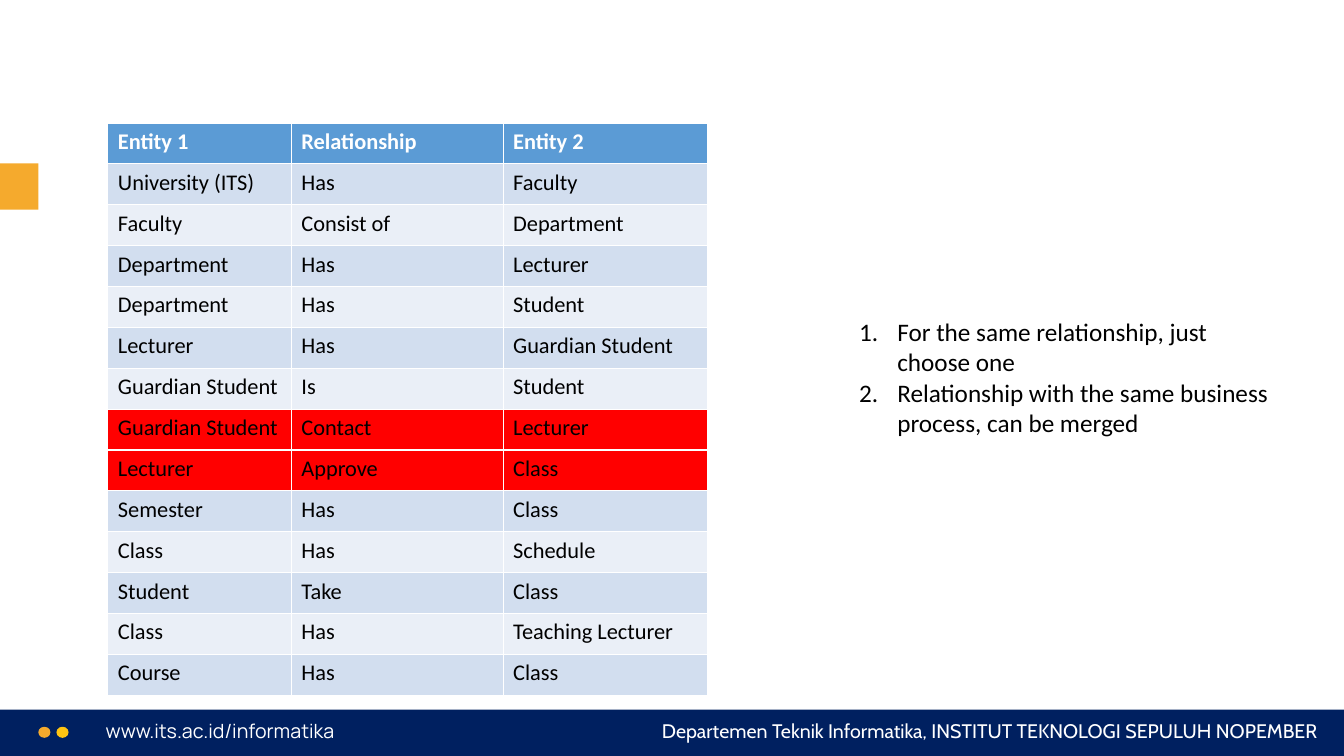
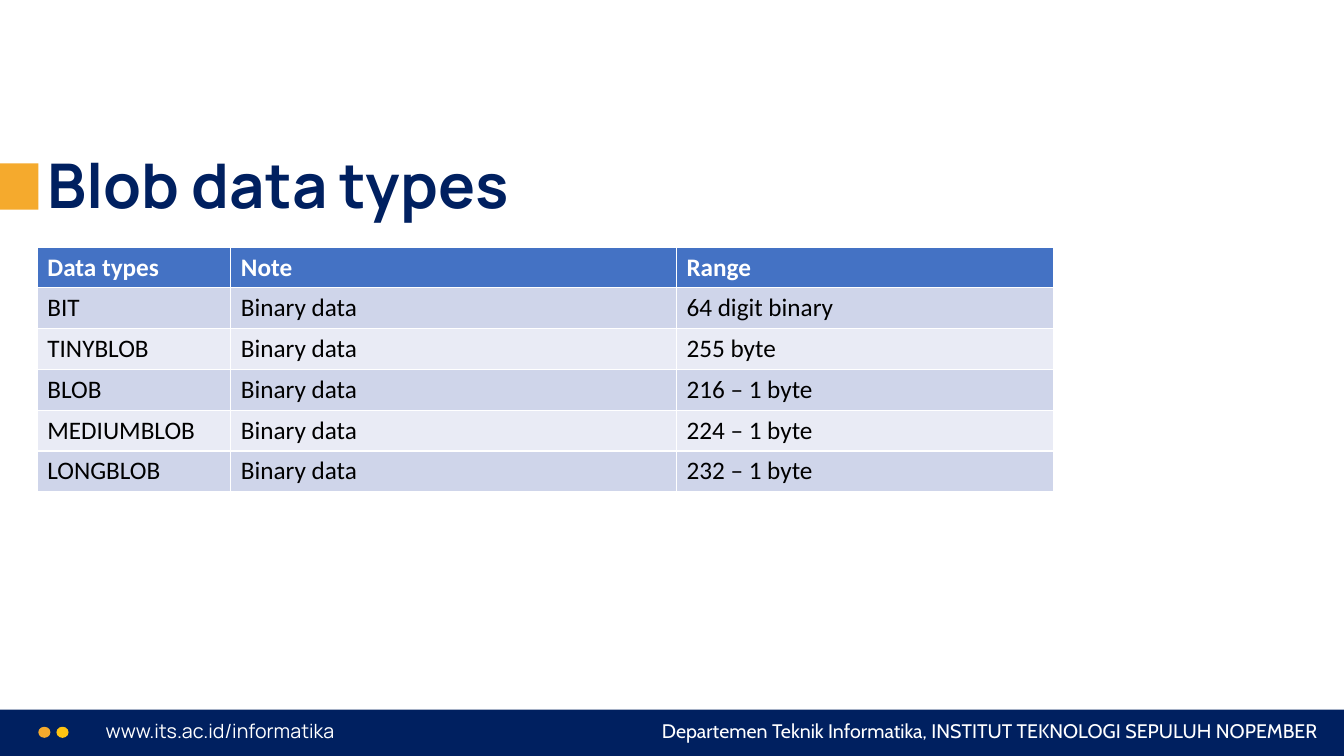
"""Build two database design slides that share a footer band and an accent tab."""
from lxml.etree import SubElement
from pptx import Presentation
from pptx.dml.color import RGBColor
from pptx.enum.shapes import MSO_SHAPE
from pptx.enum.text import MSO_ANCHOR, MSO_AUTO_SIZE, PP_ALIGN
from pptx.oxml.ns import qn
from pptx.util import Pt

EMU_PER_PX = 9144
SLIDE_SIZE = (1333, 750)
NAVY, ORANGE, YELLOW = "002060", "F5AA2D", "FFC411"
WHITE, BLACK, RED = "FFFFFF", "000000", "FF0000"

DECORATION = [
    (MSO_SHAPE.RECTANGLE, (0, 704, 1333, 46), NAVY),
    (MSO_SHAPE.OVAL, (38, 721, 12, 11), ORANGE),
    (MSO_SHAPE.OVAL, (56, 721, 12, 11), YELLOW),
    (MSO_SHAPE.RECTANGLE, (0, 162, 38, 46), ORANGE),
]
FOOTERS = [
    ("www.its.ac.id/informatika", (95, 708, 428, 34), "Manrope", PP_ALIGN.LEFT),
    ("Departemen Teknik Informatika, INSTITUT TEKNOLOGI SEPULUH NOPEMBER",
     (591, 708, 726, 34), "Cabin", PP_ALIGN.RIGHT),
]
TITLE_BOX = (37, 138, 1266, 87)
TITLE_FONT = {"name": "Manrope", "size": Pt(44), "bold": True}
TITLE_FRAME = {"vertical_anchor": MSO_ANCHOR.BOTTOM, "auto_size": MSO_AUTO_SIZE.NONE}
TITLE_PARAGRAPH = {"alignment": PP_ALIGN.LEFT, "line_spacing": 0.9}
NOTES_BOX = (842, 309, 434, 131)
NOTES_FONT = {"name": "Calibri", "size": Pt(18)}
NOTES_INDENT = 38

RELATIONSHIPS = {
    "corner": (107, 122), "height": 568, "columns": (182, 210, 203), "size": 16,
    "header": "5B9BD5", "bands": ("D2DEEF", "EAEFF7"), "merged": (7, 8),
    "rows": [
        ("Entity 1", "Relationship", "Entity 2"),
        ("University (ITS)", "Has", "Faculty"),
        ("Faculty", "Consist of", "Department"),
        ("Department", "Has", "Lecturer"),
        ("Department", "Has", "Student"),
        ("Lecturer", "Has", "Guardian Student"),
        ("Guardian Student", "Is", "Student"),
        ("Guardian Student", "Contact", "Lecturer"),
        ("Lecturer", "Approve", "Class"),
        ("Semester", "Has", "Class"),
        ("Class", "Has", "Schedule"),
        ("Student", "Take", "Class"),
        ("Class", "Has", "Teaching Lecturer"),
        ("Course", "Has", "Class"),
    ],
}
NOTES = [
    "For the same relationship, just choose one",
    "Relationship with the same business process, can be merged",
]
BLOB_TYPES = {
    "corner": (37, 245), "height": 243, "columns": (192, 442, 374), "size": 18,
    "header": "4472C4", "bands": ("CFD5EA", "E9EBF5"), "merged": (),
    "rows": [
        ("Data types", "Note", "Range"),
        ("BIT", "Binary data", "64 digit binary"),
        ("TINYBLOB", "Binary data", "255 byte"),
        ("BLOB", "Binary data", "216 – 1 byte"),
        ("MEDIUMBLOB", "Binary data", "224 – 1 byte"),
        ("LONGBLOB", "Binary data", "232 – 1 byte"),
    ],
}


def px(*lengths):
    return [length * EMU_PER_PX for length in lengths]


def rgb(code):
    return RGBColor.from_string(code)


def apply(target, values):
    for key, value in values.items():
        setattr(target, key, value)


def place(placeholder, box):
    apply(placeholder, dict(zip(("left", "top", "width", "height"), px(*box))))


def write(paragraph, words, font, colour):
    run = paragraph.add_run()
    run.text = words
    apply(run.font, font)
    run.font.color.rgb = rgb(colour)


def add_slide(deck, layout):
    slide = deck.slides.add_slide(deck.slide_layouts.get_by_name(layout))
    for outline, box, colour in DECORATION:
        mark = slide.shapes.add_shape(outline, *px(*box))
        mark.shadow.inherit = False
        mark.fill.solid()
        mark.fill.fore_color.rgb = rgb(colour)
        mark.line.fill.background()
    for words, box, typeface, alignment in FOOTERS:
        frame = slide.shapes.add_textbox(*px(*box)).text_frame
        frame.word_wrap = True
        frame.paragraphs[0].alignment = alignment
        write(frame.paragraphs[0], words, {"name": typeface, "size": Pt(14)}, WHITE)
    return slide


def add_title(slide, words):
    title = slide.shapes.title
    place(title, TITLE_BOX)
    apply(title.text_frame, TITLE_FRAME)
    paragraph = title.text_frame.paragraphs[0]
    apply(paragraph, TITLE_PARAGRAPH)
    write(paragraph, words, TITLE_FONT, NAVY)


def add_notes(slide, notes):
    body = slide.placeholders[1]
    place(body, NOTES_BOX)
    frame = body.text_frame
    frame.auto_size = MSO_AUTO_SIZE.NONE
    indent = px(NOTES_INDENT)[0]
    for index, note in enumerate(notes):
        paragraph = frame.add_paragraph() if index else frame.paragraphs[0]
        paragraph.space_before = Pt(0)
        properties = paragraph._p.get_or_add_pPr()
        properties.set("marL", str(indent))
        properties.set("indent", str(-indent))
        SubElement(properties, qn("a:buFont"), typeface="+mj-lt")
        SubElement(properties, qn("a:buAutoNum"), type="arabicPeriod")
        write(paragraph, note, NOTES_FONT, BLACK)


def add_grid(slide, content):
    rows, columns = content["rows"], content["columns"]
    box = px(*content["corner"], sum(columns), content["height"])
    grid = slide.shapes.add_table(len(rows), len(columns), *box).table
    for column, width in zip(grid.columns, px(*columns)):
        column.width = width
    for r, row in enumerate(rows):
        is_header = r == 0
        if is_header:
            fill = content["header"]
        elif r in content["merged"]:
            fill = RED
        else:
            fill = content["bands"][(r - 1) % 2]
        font = {"name": "Calibri", "size": Pt(content["size"]), "bold": is_header}
        for c, words in enumerate(row):
            cell = grid.cell(r, c)
            cell.fill.solid()
            cell.fill.fore_color.rgb = rgb(fill)
            write(cell.text_frame.paragraphs[0], words, font, WHITE if is_header else BLACK)


def main():
    deck = Presentation()
    deck.slide_width, deck.slide_height = px(*SLIDE_SIZE)

    relationships = add_slide(deck, "Title and Content")
    heading = relationships.shapes.title.element
    heading.getparent().remove(heading)
    add_grid(relationships, RELATIONSHIPS)
    add_notes(relationships, NOTES)

    blobs = add_slide(deck, "Title Only")
    add_title(blobs, "Blob data types")
    add_grid(blobs, BLOB_TYPES)

    deck.save("out.pptx")


if __name__ == "__main__":
    main()
